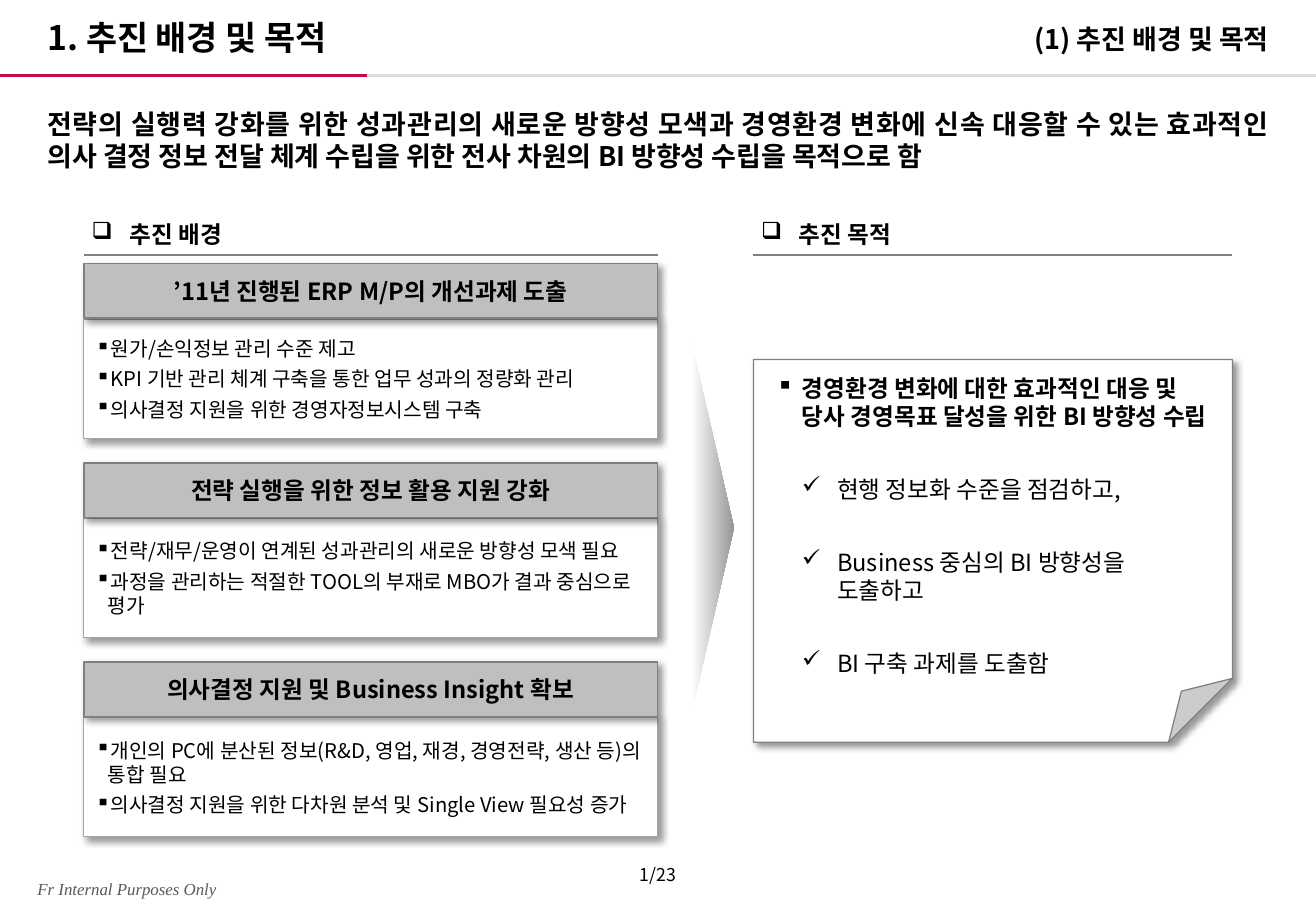
import pptx
import pptx.util
import pptx.dml.color
import pptx.enum.shapes
import pptx.enum.text
import pptx.oxml.ns
import lxml.etree
from dataclasses import dataclass

TITLE = "1. 추진 배경 및 목적"
SECTION = "(1) 추진 배경 및 목적"
HEADLINE = (
    "전략의 실행력 강화를 위한 성과관리의 새로운 방향성 모색과 경영환경 변화에 신속 대응할 수 있는 "
    "효과적인 의사 결정 정보 전달 체계 수립을 위한 전사 차원의 BI 방향성 수립을 목적으로 함"
)
PANELS = [
    ("’11년 진행된 ERP M/P의 개선과제 도출", [
        "원가/손익정보 관리 수준 제고",
        "KPI 기반 관리 체계 구축을 통한 업무 성과의 정량화 관리",
        "의사결정 지원을 위한 경영자정보시스템 구축",
    ]),
    ("전략 실행을 위한 정보 활용 지원 강화", [
        "전략/재무/운영이 연계된 성과관리의 새로운 방향성 모색 필요",
        "과정을 관리하는 적절한 TOOL의 부재로 MBO가 결과 중심으로 평가",
    ]),
    ("의사결정 지원 및 Business Insight 확보", [
        "개인의 PC에 분산된 정보(R&D, 영업, 재경, 경영전략, 생산 등)의 통합 필요",
        "의사결정 지원을 위한 다차원 분석 및 Single View 필요성 증가",
    ]),
]
GOAL = "경영환경 변화에 대한 효과적인 대응 및 당사 경영목표 달성을 위한 BI 방향성 수립"
GOAL_STEPS = [
    "현행 정보화 수준을 점검하고,",
    "Business 중심의 BI 방향성을 도출하고",
    "BI 구축 과제를 도출함",
]
FOOTER = "Fr Internal Purposes Only"
PAGE = "1/23"


@dataclass(frozen=True)
class Theme:
    font: str = "Noto Sans CJK KR"
    footer_font: str = "Times New Roman"
    ink: str = "000000"
    paper: str = "FFFFFF"
    accent: str = "C70952"
    rule: str = "DDDDDD"
    edge: str = "808080"
    soft_edge: str = "A6A6A6"
    band: str = "BFBFBF"
    arrow: str = "969696"
    muted: str = "595959"
    title: float = 20
    headline: float = 16
    heading: float = 14
    body: float = 12
    page: float = 10.5
    footer: float = 10
    leading: float = 1.19


THEME = Theme()
WIDTH, HEIGHT = pptx.util.Inches(10.83), pptx.util.Inches(7.5)
ALIGN = pptx.enum.text.PP_ALIGN
ANCHOR = pptx.enum.text.MSO_ANCHOR
SHAPE = pptx.enum.shapes.MSO_SHAPE

LEFT_COLUMN = (6.37, 43.6)
RIGHT_COLUMN = (57.25, 36.4)
PANEL_TOP, PANEL_PITCH, PANEL_BODY_DROP = 28.93, 21.87, 6.13
BAND_HEIGHT, BODY_HEIGHT = 6, 13.07
HEADING_TOP, HEADING_RULE, HEADING_INSET = 24.13, 28, 0.6
TOP_RULE, ACCENT_END = 8.27, 27.89

presentation = pptx.Presentation()
presentation.slide_width, presentation.slide_height = WIDTH, HEIGHT
slide = presentation.slides.add_slide(presentation.slide_layouts[3])


def color(value):
    return pptx.dml.color.RGBColor.from_string(value)


def area(left, top, width, height):
    return [round(share * side / 100) for share, side in
            zip((left, top, width, height), (WIDTH, HEIGHT, WIDTH, HEIGHT))]


def child(parent, tag, **attributes):
    return lxml.etree.SubElement(parent, pptx.oxml.ns.qn(tag), attributes)


def prepare(shape, anchor=ANCHOR.TOP, insets=(0.1, 0.05, 0.1, 0.05)):
    frame = shape.text_frame
    frame.word_wrap = True
    frame.auto_size = pptx.enum.text.MSO_AUTO_SIZE.NONE
    frame.vertical_anchor = anchor
    frame.margin_left, frame.margin_top, frame.margin_right, frame.margin_bottom = map(
        pptx.util.Inches, insets)
    return frame


def write(frame, text, size=THEME.body, bold=False, italic=False, ink=THEME.ink,
          font=THEME.font, align=ALIGN.LEFT, bullet=None, indent=0, hanging=0, before=0):
    first = frame.paragraphs[0]
    paragraph = frame.add_paragraph() if first.runs else first
    paragraph.alignment = align
    paragraph.line_spacing = pptx.util.Pt(round(size * THEME.leading, 1))
    paragraph.space_before = pptx.util.Pt(before)
    paragraph.space_after = pptx.util.Pt(0)
    properties = paragraph._p.get_or_add_pPr()
    properties.set("marL", str(pptx.util.Inches(indent)))
    properties.set("indent", str(-pptx.util.Inches(hanging)))
    if bullet:
        child(properties, "a:buChar", char=bullet)
    else:
        child(properties, "a:buNone")
    run = paragraph.add_run()
    run.text = text
    run.font.size, run.font.bold, run.font.italic = pptx.util.Pt(size), bold, italic
    run.font.color.rgb = color(ink)
    run.font.name = font
    child(run._r.get_or_add_rPr(), "a:ea", typeface=font)


def fill_placeholder(placeholder, box, text, anchor=ANCHOR.TOP, **style):
    placeholder.left, placeholder.top, placeholder.width, placeholder.height = area(*box)
    write(prepare(placeholder, anchor), text, bold=True, **style)


def add_text(box, text, insets=(0.1, 0.05, 0.1, 0.05), **style):
    write(prepare(slide.shapes.add_textbox(*area(*box)), insets=insets), text, **style)


def add_rule(left, right, top, ink):
    x, y, length, _ = area(left, top, right - left, 0)
    connector = slide.shapes.add_connector(
        pptx.enum.shapes.MSO_CONNECTOR.STRAIGHT, x, y, x + length, y)
    connector.line.color.rgb = color(ink)
    connector.line.width = pptx.util.Pt(1.5)
    child(connector._element.spPr, "a:effectLst")


def add_card(kind, box, fill, edge, weight):
    shape = slide.shapes.add_shape(kind, *area(*box))
    shape.fill.solid()
    shape.fill.fore_color.rgb = color(fill)
    shape.line.color.rgb = color(edge)
    shape.line.width = pptx.util.Pt(weight)
    shape.shadow.inherit = False
    effects = shape._element.spPr.find(pptx.oxml.ns.qn("a:effectLst"))
    shadow = child(effects, "a:outerShdw", blurRad=str(pptx.util.Pt(4)),
                   dist=str(pptx.util.Pt(3)), dir="2700000", algn="tl", rotWithShape="0")
    child(child(shadow, "a:srgbClr", val=THEME.ink), "a:alpha", val="40000")
    return shape


def add_heading(column, text):
    left, width = column
    add_text((left + HEADING_INSET, HEADING_TOP, width - HEADING_INSET, 3.2), text,
             insets=(0, 0, 0, 0), size=THEME.heading, bold=True,
             bullet="❑", indent=0.31, hanging=0.31)
    add_rule(left, left + width, HEADING_RULE, THEME.edge)


def add_panel(row, heading, items):
    left, width = LEFT_COLUMN
    top = PANEL_TOP + row * PANEL_PITCH
    body = add_card(SHAPE.RECTANGLE, (left, top + PANEL_BODY_DROP, width, BODY_HEIGHT),
                    THEME.paper, THEME.soft_edge, 0.75)
    frame = prepare(body, ANCHOR.MIDDLE, (0.1, 0, 0.1, 0))
    for item in items:
        write(frame, item, bullet="▪", indent=0.1, hanging=0.1, before=3.6)
    band = add_card(SHAPE.ROUND_2_SAME_RECTANGLE, (left, top, width, BAND_HEIGHT),
                    THEME.band, THEME.edge, 1)
    band.adjustments[0] = band.adjustments[1] = 0
    write(prepare(band, ANCHOR.MIDDLE), heading, size=THEME.heading, bold=True,
          align=ALIGN.CENTER)


def add_arrow():
    arrow = slide.shapes.add_shape(SHAPE.PENTAGON, *area(52.54, 37.47, 3.23, 40.93))
    arrow.adjustments[0] = 1
    arrow.fill.gradient()
    arrow.fill.gradient_angle = 0
    for stop, tone in zip(arrow.fill.gradient_stops, (THEME.paper, THEME.arrow)):
        stop.color.rgb = color(tone)
    arrow.line.fill.background()
    arrow.shadow.inherit = False


def add_goal_note():
    left, width = RIGHT_COLUMN
    note = add_card(SHAPE.FOLDED_CORNER, (left, 39.47, width, 42),
                    THEME.paper, THEME.edge, 0.75)
    frame = prepare(note, insets=(0.1, 0.12, 0.2, 0))
    write(frame, GOAL, size=THEME.heading, bold=True, bullet="▪", indent=0.3, hanging=0.21)
    for step in GOAL_STEPS:
        write(frame, step, size=THEME.heading, bullet="✓", indent=0.59, hanging=0.29,
              before=26.5)


title, section, headline = slide.placeholders
fill_placeholder(title, (2.68, 0.93, 54.66, 6), TITLE, ANCHOR.BOTTOM, size=THEME.title)
fill_placeholder(section, (63.43, 0.67, 33.9, 6), SECTION, ANCHOR.BOTTOM,
                 size=THEME.headline, align=ALIGN.RIGHT)
fill_placeholder(headline, (2.68, 11.2, 94.74, 8.93), HEADLINE,
                 size=THEME.headline, align=ALIGN.JUSTIFY)
add_rule(0, ACCENT_END, TOP_RULE, THEME.accent)
add_rule(ACCENT_END, 100, TOP_RULE, THEME.rule)
add_heading(LEFT_COLUMN, "추진 배경")
add_heading(RIGHT_COLUMN, "추진 목적")
add_arrow()
for row, (heading, items) in enumerate(PANELS):
    add_panel(row, heading, items)
add_goal_note()
add_text((42.75, 94.13, 14.5, 3.87), PAGE, size=THEME.page, align=ALIGN.CENTER)
add_text((1.94, 95.87, 24.75, 3.6), FOOTER, size=THEME.footer, italic=True,
         ink=THEME.muted, font=THEME.footer_font)

presentation.save("out.pptx")
